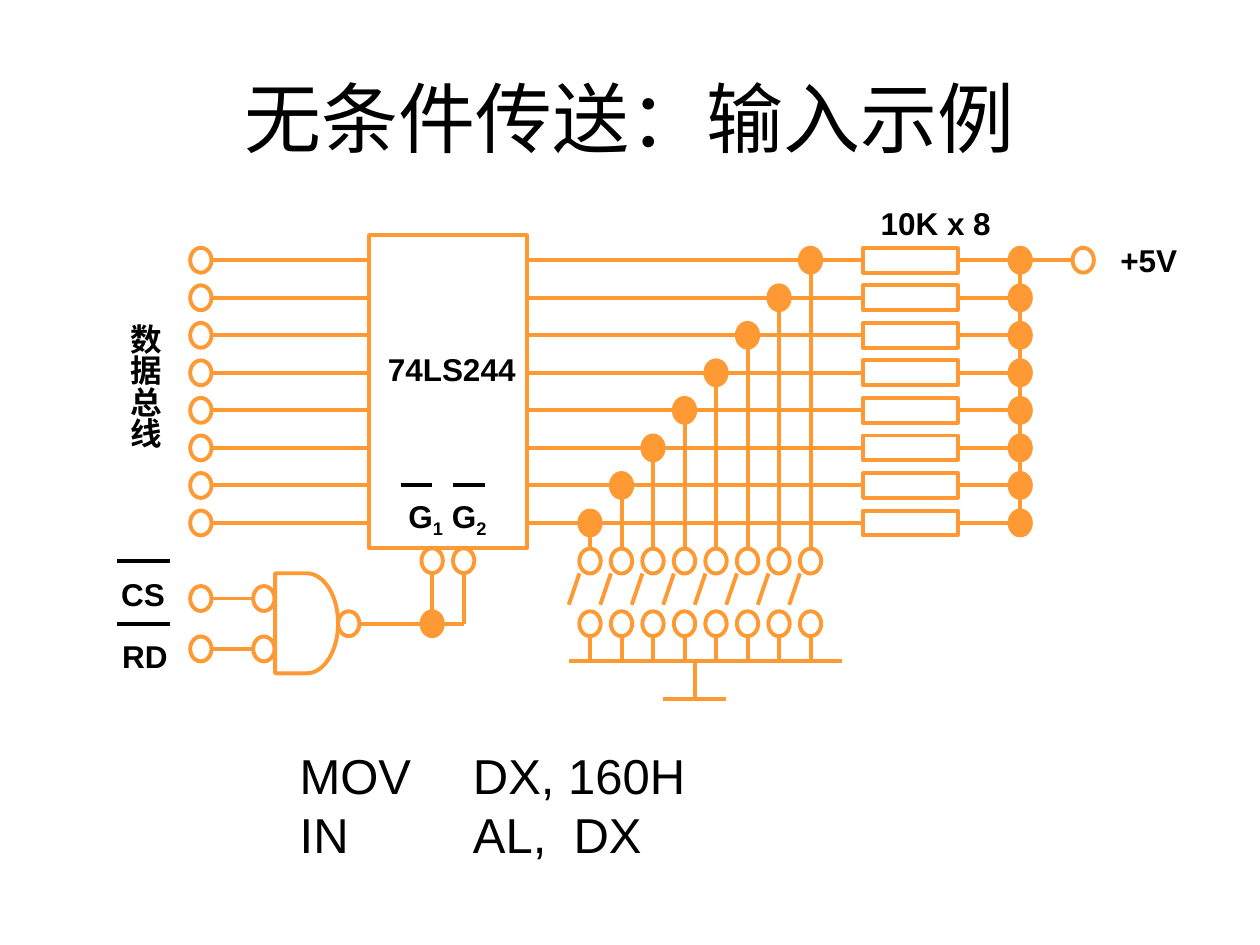
import pptx
import pptx.dml.color
import pptx.enum.shapes
import pptx.enum.text
import pptx.oxml.ns
import pptx.util
import lxml.etree

Pt = pptx.util.Pt
Shape = pptx.enum.shapes.MSO_SHAPE
Align = pptx.enum.text.PP_ALIGN
Anchor = pptx.enum.text.MSO_ANCHOR
qn = pptx.oxml.ns.qn

ORANGE = pptx.dml.color.RGBColor(0xFF, 0x99, 0x33)
BLACK = pptx.dml.color.RGBColor(0, 0, 0)

TITLE_FORMAT = {"name": "Calibri", "size": Pt(44), "bold": False}
CODE_FORMAT = {"name": "Arial", "size": Pt(28), "bold": False}
LABEL_FORMAT = {"name": "Arial", "size": Pt(18), "bold": True}

ROW_COUNT = 8
ROW_TOP, ROW_PITCH = 148.7, 21.45
SWITCH_LEFT, SWITCH_PITCH = 337.2, 18
NODE_WIDTH, NODE_HEIGHT = 12.2, 14.2
RADIUS_X, RADIUS_Y = NODE_WIDTH / 2, NODE_HEIGHT / 2
PIN_X, GATE_PIN_X = 114.8, 150.8
CHIP_LEFT, CHIP_TOP, CHIP_WIDTH, CHIP_HEIGHT = 211, 134.4, 90, 179
CHIP_RIGHT = CHIP_LEFT + CHIP_WIDTH
RESISTOR_LEFT, RESISTOR_WIDTH = 493.2, 54
SUPPLY_X, TERMINAL_X = 583, 619
CONTACT_TOP, CONTACT_BOTTOM, GROUND_Y, EARTH_Y = 320.6, 356.4, 377.8, 399.2
GATE_LEFT, GATE_TOP, GATE_WIDTH, GATE_HEIGHT = 157.2, 327.6, 36, 57.2
ENABLE_1_X, ENABLE_2_X, ENABLE_Y, OUTPUT_Y = 247, 265, 320.4, 356.4
TAB_STEP, TAB_COUNT = 72, 8


class Drawing:
    line_width = Pt(2.25)

    def __init__(self, slide):
        self.slide = slide

    def shape(self, kind, left, top, width, height, filled=False):
        shape = self.slide.shapes.add_shape(kind, Pt(left), Pt(top), Pt(width), Pt(height))
        shape.shadow.inherit = False
        if filled:
            shape.fill.solid()
            shape.fill.fore_color.rgb = ORANGE
        else:
            shape.fill.background()
        shape.line.color.rgb = ORANGE
        shape.line.width = self.line_width
        return shape

    def node(self, x, y, filled=False):
        return self.shape(Shape.OVAL, x - RADIUS_X, y - RADIUS_Y, NODE_WIDTH, NODE_HEIGHT, filled)

    def line(self, x1, y1, x2, y2, color=ORANGE):
        connector = self.slide.shapes.add_connector(
            pptx.enum.shapes.MSO_CONNECTOR.STRAIGHT, Pt(x1), Pt(y1), Pt(x2), Pt(y2))
        connector.line.color.rgb = color
        connector.line.width = self.line_width
        lxml.etree.SubElement(connector._element.spPr, qn("a:effectLst"))
        return connector

    def run(self, paragraph, text, values):
        run = paragraph.add_run()
        run.text = text
        for name, value in values.items():
            setattr(run.font, name, value)
        run.font.color.rgb = BLACK
        return run

    def text_box(self, left, top, width, height, wrap, anchor):
        box = self.slide.shapes.add_textbox(Pt(left), Pt(top), Pt(width), Pt(height))
        box.text_frame.word_wrap = wrap
        box.text_frame.vertical_anchor = anchor
        return box.text_frame

    def label(self, parts, left, top, width, height, values=LABEL_FORMAT, vertical=False):
        frame = self.text_box(left, top, width, height, False, Anchor.MIDDLE)
        for side in ("left", "top", "right", "bottom"):
            setattr(frame, "margin_" + side, 0)
        if vertical:
            frame._txBody.bodyPr.set("vert", "eaVert")
        paragraph = frame.paragraphs[0]
        paragraph.alignment = Align.CENTER
        for text, baseline in parts:
            run = self.run(paragraph, text, values)
            if baseline:
                run.font._element.set("baseline", str(baseline * 1000))

    def code(self, lines, left, top, width, height):
        frame = self.text_box(left, top, width, height, True, Anchor.TOP)
        for index, text in enumerate(lines):
            paragraph = frame.add_paragraph() if index else frame.paragraphs[0]
            properties = paragraph._p.get_or_add_pPr()
            properties.set("marL", str(Pt(27)))
            properties.set("indent", str(Pt(-27)))
            properties.set("defTabSz", str(Pt(TAB_STEP)))
            tabs = lxml.etree.SubElement(properties, qn("a:tabLst"))
            for stop in range(TAB_COUNT):
                lxml.etree.SubElement(tabs, qn("a:tab"), pos=str(Pt(stop * TAB_STEP)), algn="l")
            self.run(paragraph, text, CODE_FORMAT)


def draw_data_row(drawing, row):
    y = ROW_TOP + row * ROW_PITCH
    switch_x = SWITCH_LEFT + (ROW_COUNT - 1 - row) * SWITCH_PITCH
    drawing.node(PIN_X, y)
    drawing.line(PIN_X + RADIUS_X, y, CHIP_LEFT, y)
    resistor = drawing.shape(
        Shape.RECTANGLE, RESISTOR_LEFT, y - RADIUS_Y, RESISTOR_WIDTH, NODE_HEIGHT)
    drawing.line(CHIP_RIGHT, y, RESISTOR_LEFT, y).end_connect(resistor, 1)
    supply_wire = drawing.line(RESISTOR_LEFT + RESISTOR_WIDTH, y, SUPPLY_X - RADIUS_X, y)
    supply_wire.begin_connect(resistor, 3)
    drawing.node(SUPPLY_X, y, True)
    drawing.node(switch_x, y, True)
    drawing.line(switch_x, y + RADIUS_Y, switch_x, CONTACT_TOP - RADIUS_Y)


def draw_switch(drawing, x):
    for y in (CONTACT_TOP, CONTACT_BOTTOM):
        drawing.node(x, y)
    drawing.line(x - RADIUS_X, CONTACT_TOP + RADIUS_Y, x - 12.2, 345.6)
    drawing.line(x, CONTACT_BOTTOM + RADIUS_Y, x, GROUND_Y)


def draw_supply_and_ground(drawing):
    drawing.line(SUPPLY_X, ROW_TOP, SUPPLY_X, ROW_TOP + (ROW_COUNT - 1) * ROW_PITCH + RADIUS_Y)
    drawing.line(SUPPLY_X + RADIUS_X, ROW_TOP, TERMINAL_X - RADIUS_X, ROW_TOP)
    drawing.node(TERMINAL_X, ROW_TOP)
    drawing.line(325, GROUND_Y, 481, GROUND_Y)
    drawing.line(397, GROUND_Y, 397, EARTH_Y)
    drawing.line(379, EARTH_Y, 415, EARTH_Y)


def draw_enable_logic(drawing):
    drawing.shape(Shape.FLOWCHART_DELAY, GATE_LEFT, GATE_TOP, GATE_WIDTH, GATE_HEIGHT)
    for y in (342, 370.8):
        drawing.node(PIN_X, y)
        drawing.line(PIN_X + RADIUS_X, y, GATE_PIN_X - RADIUS_X, y)
        drawing.node(GATE_PIN_X, y)
    output_x = GATE_LEFT + GATE_WIDTH + RADIUS_X
    drawing.node(output_x, OUTPUT_Y)
    drawing.line(output_x + RADIUS_X, OUTPUT_Y, ENABLE_2_X, OUTPUT_Y)
    for x in (ENABLE_1_X, ENABLE_2_X):
        drawing.node(x, ENABLE_Y)
        drawing.line(x, ENABLE_Y + RADIUS_Y, x, OUTPUT_Y)
    drawing.node(ENABLE_1_X, OUTPUT_Y, True)


def draw_labels(drawing):
    for text, left, top, width in (
        ("74LS244", 214.6, 196.2, 87),
        ("+5V", 633, 134.2, 46.8),
        ("10K x 8", 496.2, 113.2, 77),
        ("CS", 62.2, 324.8, 39),
        ("RD", 62.6, 360.4, 40.4),
    ):
        drawing.label([(text, 0)], left, top, width, 28.8)
    drawing.label([("G", 0), ("1", -25), (" G", 0), ("2", -25)], 226.2, 280.2, 59, 31.6)
    drawing.label([("数据总线", 0)], 64.8, 185, 36, 79.2, vertical=True)
    for left, y, width in ((229, 277.4, 18), (259, 277.4, 18), (67, 320.4, 30), (67, 356.4, 30)):
        drawing.line(left, y, left + width, y, BLACK)


def main():
    presentation = pptx.Presentation()
    presentation.slide_width, presentation.slide_height = Pt(720), Pt(540)
    drawing = Drawing(presentation.slides.add_slide(presentation.slide_layouts[6]))
    drawing.label([("无条件传送：输入示例", 0)], 36, 21.6, 648, 90, TITLE_FORMAT)
    drawing.code(["MOV \tDX, 160H", "IN\tAL,  DX"], 164.2, 422.6, 244.8, 90.7)
    drawing.shape(Shape.RECTANGLE, CHIP_LEFT, CHIP_TOP, CHIP_WIDTH, CHIP_HEIGHT)
    for index in range(ROW_COUNT):
        draw_data_row(drawing, index)
        draw_switch(drawing, SWITCH_LEFT + index * SWITCH_PITCH)
    draw_supply_and_ground(drawing)
    draw_enable_logic(drawing)
    draw_labels(drawing)
    presentation.save("out.pptx")


if __name__ == "__main__":
    main()
